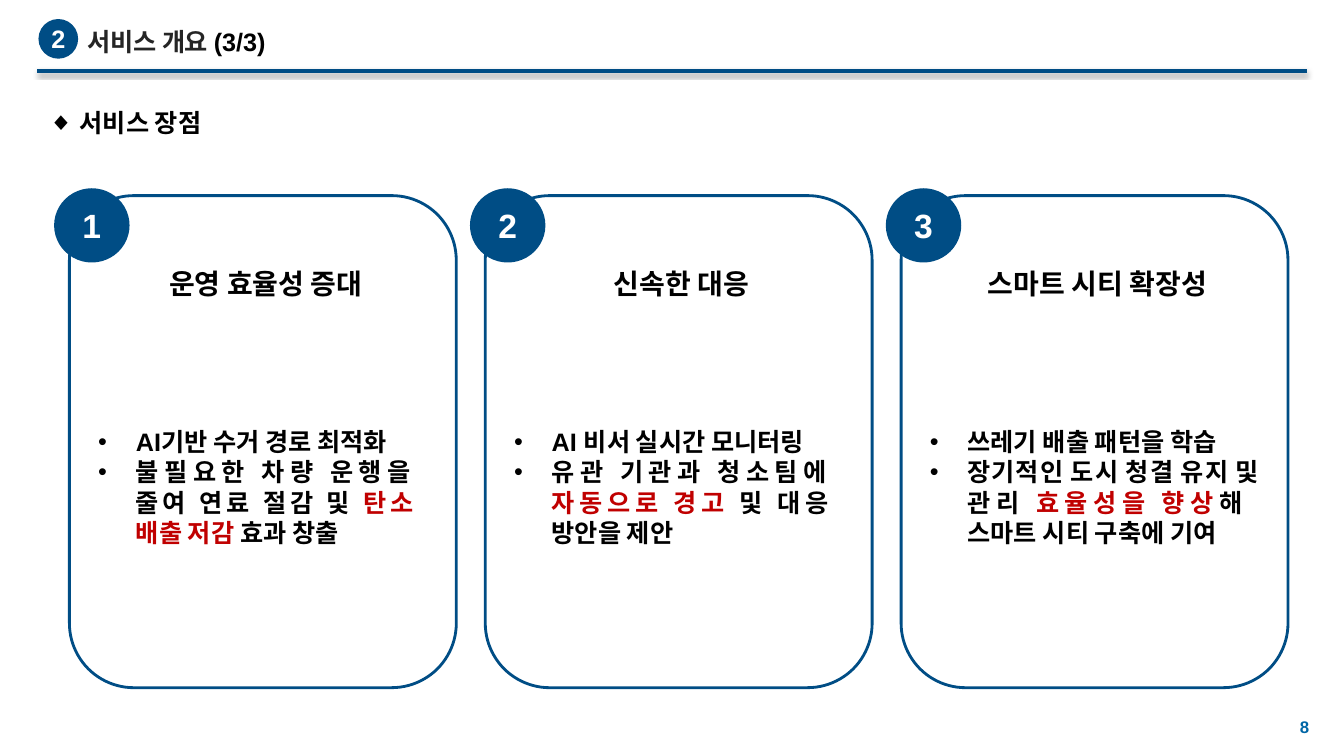
from lxml.etree import SubElement
from pptx import Presentation
from pptx.dml.color import RGBColor
from pptx.enum.shapes import MSO_CONNECTOR, MSO_SHAPE
from pptx.enum.text import MSO_ANCHOR, MSO_AUTO_SIZE, PP_ALIGN
from pptx.oxml import parse_xml
from pptx.oxml.ns import nsdecls, qn
from pptx.util import Cm, Pt

NAVY = RGBColor(0x00, 0x4D, 0x85)
BLUE = RGBColor(0x00, 0x66, 0xA6)
RED = RGBColor(0xC0, 0x00, 0x00)
CHARCOAL = RGBColor(0x25, 0x25, 0x25)
BLACK = RGBColor(0, 0, 0)
WHITE = RGBColor(0xFF, 0xFF, 0xFF)

TITLE = [("서비스 개요", CHARCOAL), (" (3/3)", BLACK)]
SECTION = "2"
SUBTITLE = "서비스 장점"
PAGE = "8"
CARDS = [
    ("운영 효율성 증대", [
        [("AI기반 수거 경로 최적화", BLACK)],
        [("불필요한 차량 운행을 \n줄여 연료 절감 및 ", BLACK),
         ("탄소 \n배출 저감", RED), (" 효과 창출", BLACK)],
    ]),
    ("신속한 대응", [
        [("AI 비서 실시간 모니터링", BLACK)],
        [("유관 기관과 청소팀에 \n", BLACK), ("자동으로 경고 ", RED),
         ("및 대응 \n방안을 제안", BLACK)],
    ]),
    ("스마트 시티 확장성", [
        [("쓰레기 배출 패턴을 학습", BLACK)],
        [("장기적인 도시 청결 유지 및 관리 ", BLACK), ("효율성을 향상", RED),
         ("해 \n스마트 시티 구축에 기여", BLACK)],
    ]),
]

CARD_LEFT, CARD_TOP, CARD_W, CARD_H = 1.75, 4.93, 9.75, 12.4
CARD_PITCH = 10.48
BADGE_LEFT, BADGE_TOP, BADGE_W, BADGE_H = 1.4, 4.78, 1.83, 1.8
HEADING_LEFT, HEADING_TOP, HEADING_W, HEADING_H = 2.95, 6.58, 7.5, 1.12


def add_runs(p, parts, size):
    for text, color in parts:
        for i, piece in enumerate(text.split("\n")):
            if i:
                p.add_line_break()
            if piece:
                r = p.add_run()
                r.text = piece
                r.font.name = "Arial"
                r.font.size = Pt(size)
                r.font.bold = True
                r.font.color.rgb = color


def add_bullet(p, char, indent):
    pPr = p._p.get_or_add_pPr()
    pPr.set("marL", str(Cm(indent)))
    pPr.set("indent", str(-Cm(indent)))
    SubElement(pPr, qn("a:buFont")).set("typeface", "Arial")
    SubElement(pPr, qn("a:buChar")).set("char", char)


def add_text(shapes, box, text, size, color=BLACK, align=PP_ALIGN.LEFT):
    sp = shapes.add_textbox(*map(Cm, box))
    sp.text_frame.word_wrap = True
    p = sp.text_frame.paragraphs[0]
    p.alignment = align
    add_runs(p, [(text, color)], size)
    return sp


def add_panel(shapes, kind, box, fill):
    sp = shapes.add_shape(kind, *map(Cm, box))
    sp.shadow.inherit = False
    sp.fill.solid()
    sp.fill.fore_color.rgb = fill
    sp.line.color.rgb = NAVY
    sp.line.width = Pt(2)
    sp.text_frame.word_wrap = True
    sp.text_frame.vertical_anchor = MSO_ANCHOR.MIDDLE
    return sp


def add_badge(shapes, box, text, size):
    sp = add_panel(shapes, MSO_SHAPE.OVAL, box, NAVY)
    p = sp.text_frame.paragraphs[0]
    p.alignment = PP_ALIGN.CENTER
    add_runs(p, [(text, WHITE)], size)
    return sp


def add_card(slide, index, heading, points):
    dx = index * CARD_PITCH
    group = slide.shapes.add_group_shape()
    card = add_panel(group.shapes, MSO_SHAPE.ROUNDED_RECTANGLE,
                     (CARD_LEFT + dx, CARD_TOP, CARD_W, CARD_H), WHITE)
    tf = card.text_frame
    tf.margin_top = Cm(2.41)
    for i, parts in enumerate(points):
        p = tf.add_paragraph() if i else tf.paragraphs[0]
        p.alignment = PP_ALIGN.JUSTIFY
        add_bullet(p, "•", 0.95)
        add_runs(p, parts, 18)
    add_badge(group.shapes, (BADGE_LEFT + dx, BADGE_TOP, BADGE_W, BADGE_H),
              str(index + 1), 24)
    add_text(slide.shapes, (HEADING_LEFT + dx, HEADING_TOP, HEADING_W, HEADING_H),
             heading, 20, align=PP_ALIGN.CENTER)


def add_header(slide):
    title = slide.shapes.title
    title.left, title.top, title.width, title.height = map(Cm, (1.96, 0.2, 29.95, 1.3))
    tf = title.text_frame
    tf.auto_size = MSO_AUTO_SIZE.NONE
    tf.vertical_anchor = MSO_ANCHOR.MIDDLE
    p = tf.paragraphs[0]
    p.alignment = PP_ALIGN.LEFT
    p.line_spacing = 1.5
    add_runs(p, TITLE, 18)
    p.runs[0].font._element.set("spc", "-20")

    rule = slide.shapes.add_connector(MSO_CONNECTOR.STRAIGHT,
                                      Cm(0.94), Cm(1.79), Cm(32.94), Cm(1.79))
    rule.line.color.rgb = NAVY
    rule.line.width = Pt(3)
    rule._element.spPr.append(parse_xml(
        f'<a:effectLst {nsdecls("a")}>'
        f'<a:outerShdw blurRad="{Pt(3.1)}" dist="{Pt(1.6)}" dir="5400000" rotWithShape="0">'
        '<a:srgbClr val="000000"><a:alpha val="38000"/></a:srgbClr>'
        '</a:outerShdw></a:effectLst>'))

    badge = add_badge(slide.shapes, (0.97, 0.48, 1, 1), SECTION, 18)
    badge.line.fill.background()
    tf = badge.text_frame
    tf.word_wrap = False
    tf.margin_left = tf.margin_right = tf.margin_top = tf.margin_bottom = Cm(0.25)


def main():
    prs = Presentation()
    prs.slide_width, prs.slide_height = Cm(33.87), Cm(19.05)
    slide = prs.slides.add_slide(prs.slide_layouts[5])
    add_header(slide)

    subtitle = add_text(slide.shapes, (0.97, 2.59, 31.95, 1.02), SUBTITLE, 18)
    add_bullet(subtitle.text_frame.paragraphs[0], "◆", 0.79)

    for i, (heading, points) in enumerate(CARDS):
        add_card(slide, i, heading, points)

    page = add_text(slide.shapes, (32.66, 18.06, 0.74, 0.51), PAGE, 12, BLUE)
    tf = page.text_frame
    tf.margin_left = Cm(0.1)
    tf.margin_right = tf.margin_top = tf.margin_bottom = 0
    prs.save("out.pptx")


if __name__ == "__main__":
    main()
